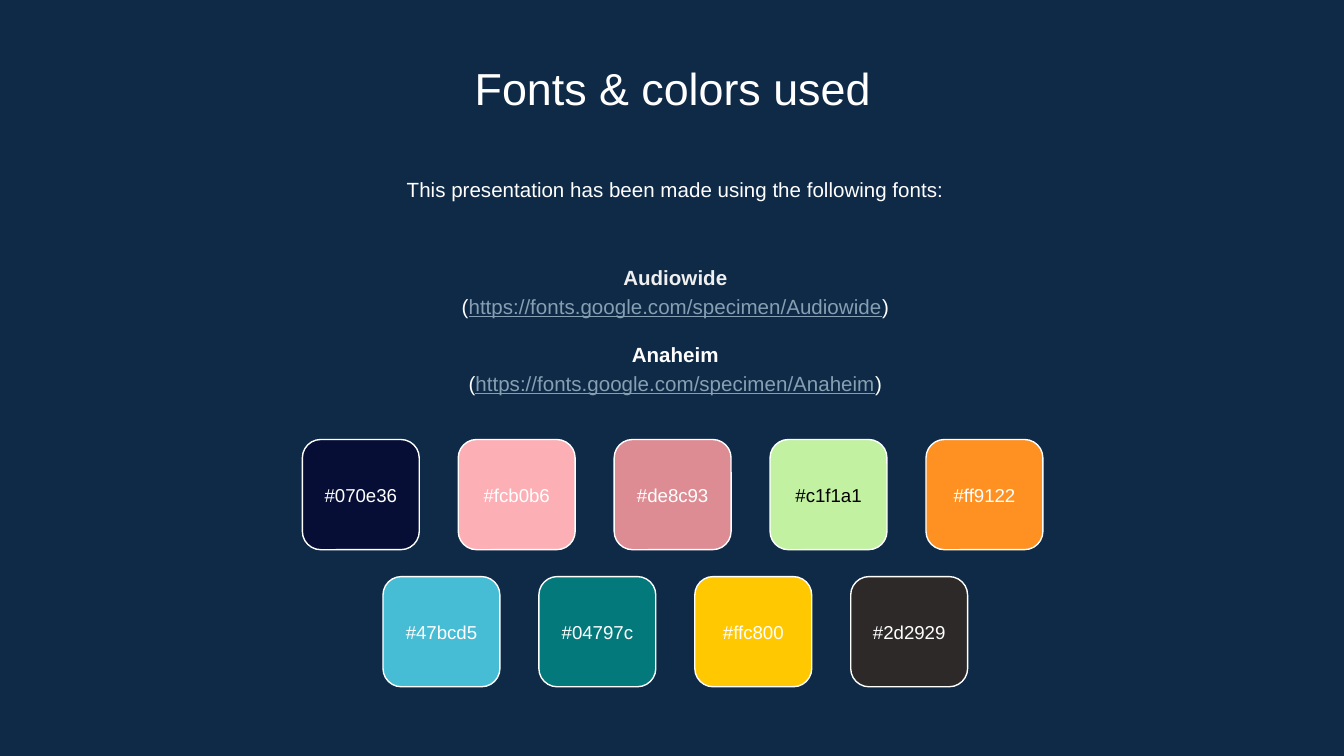
from dataclasses import dataclass

from pptx import Presentation
from pptx.dml.color import RGBColor
from pptx.enum.shapes import MSO_SHAPE as Shape
from pptx.enum.text import MSO_ANCHOR as Anchor, MSO_AUTO_SIZE as AutoSize, PP_ALIGN as Align
from pptx.util import Inches, Pt


@dataclass(frozen=True)
class Theme:
    font: str = "Arial"
    background: str = "0E2A47"
    text: str = "FFFFFF"
    soft_text: str = "EFEFEF"
    dark_text: str = "000000"
    link: str = "869FB2"
    title_size: float = 24
    body_size: float = 11
    label_size: float = 10
    line_width: float = 0.75
    line_spacing: float = 1.15
    group_gap: float = 11


class SlideBuilder:
    def __init__(self, slide, theme):
        self.slide = slide
        self.theme = theme
        slide.background.fill.solid()
        slide.background.fill.fore_color.rgb = RGBColor.from_string(theme.background)

    def prepare_frame(self, frame, anchor):
        frame.word_wrap = True
        frame.auto_size = AutoSize.NONE
        frame.vertical_anchor = anchor
        frame.margin_left = frame.margin_right = Inches(0.1)
        frame.margin_top = frame.margin_bottom = Inches(0.1)

    def style_paragraph(self, paragraph, size, color, bold=False):
        paragraph.alignment = Align.CENTER
        font = paragraph.font
        font.name = self.theme.font
        font.size = Pt(size)
        font.bold = bold
        font.color.rgb = RGBColor.from_string(color)

    def add_title(self, text, left, top, width, height):
        title = self.slide.shapes.title
        title.left, title.top = Inches(left), Inches(top)
        title.width, title.height = Inches(width), Inches(height)
        title.text_frame.text = text
        self.prepare_frame(title.text_frame, Anchor.TOP)
        self.style_paragraph(title.text_frame.paragraphs[0], self.theme.title_size, self.theme.text)

    def add_text_box(self, left, top, width, height, anchor=Anchor.TOP):
        box = self.slide.shapes.add_textbox(Inches(left), Inches(top), Inches(width), Inches(height))
        self.prepare_frame(box.text_frame, anchor)
        return box.text_frame

    def style_body(self, paragraph, color, bold=False):
        self.style_paragraph(paragraph, self.theme.body_size, color, bold)
        paragraph.line_spacing = self.theme.line_spacing

    def add_intro(self, text, left, top, width, height):
        frame = self.add_text_box(left, top, width, height)
        frame.text = text
        self.style_body(frame.paragraphs[0], self.theme.text)

    def add_font_list(self, fonts, left, top, width, height):
        frame = self.add_text_box(left, top, width, height, Anchor.MIDDLE)
        for index, (name, address, color) in enumerate(fonts):
            heading = frame.add_paragraph() if index else frame.paragraphs[0]
            heading.text = name
            self.style_body(heading, color, bold=True)
            if index:
                heading.space_before = Pt(self.theme.group_gap)
            source = frame.add_paragraph()
            self.style_body(source, self.theme.text)
            source.add_run().text = "("
            link = source.add_run()
            link.text = address
            link.font.underline = True
            link.font.color.rgb = RGBColor.from_string(self.theme.link)
            source.add_run().text = ")"

    def add_swatch(self, color, left, top, width, height):
        swatch = self.slide.shapes.add_shape(
            Shape.ROUNDED_RECTANGLE, Inches(left), Inches(top), Inches(width), Inches(height))
        swatch.shadow.inherit = False
        swatch.fill.solid()
        swatch.fill.fore_color.rgb = RGBColor.from_string(color.upper())
        swatch.line.color.rgb = RGBColor.from_string(self.theme.text)
        swatch.line.width = Pt(self.theme.line_width)

    def add_label(self, color, left, top, width, height):
        frame = self.add_text_box(left, top, width, height, Anchor.MIDDLE)
        frame.text = f"#{color}"
        label_color = self.theme.dark_text if color == "c1f1a1" else self.theme.text
        self.style_paragraph(frame.paragraphs[0], self.theme.label_size, label_color)

    def add_swatch_row(self, colors, left, top, width=0.87, height=0.82, pitch=1.16):
        label_height = 0.48
        label_top = top + (height - label_height) / 2
        for index, color in enumerate(colors):
            swatch_left = left + index * pitch
            self.add_swatch(color, swatch_left, top, width, height)
            self.add_label(color, swatch_left, label_top, width, label_height)


def main():
    theme = Theme()
    presentation = Presentation()
    presentation.slide_width = Inches(10)
    presentation.slide_height = Inches(10 * 9 / 16)
    slide = presentation.slides.add_slide(presentation.slide_layouts[5])
    builder = SlideBuilder(slide, theme)

    builder.add_title("Fonts & colors used", 1.15, 0.35, 7.71, 0.53)
    builder.add_intro("This presentation has been made using the following fonts:", 1.17, 1.19, 7.71, 0.48)
    fonts = [
        ("Audiowide", "https://fonts.google.com/specimen/Audiowide", theme.soft_text),
        ("Anaheim", "https://fonts.google.com/specimen/Anaheim", theme.text),
    ]
    builder.add_font_list(fonts, 1.17, 1.76, 7.71, 1.37)
    builder.add_swatch_row(["070e36", "fcb0b6", "de8c93", "c1f1a1", "ff9122"], 2.25, 3.27)
    builder.add_swatch_row(["47bcd5", "04797c", "ffc800", "2d2929"], 2.85, 4.29)
    presentation.save("out.pptx")


if __name__ == "__main__":
    main()
